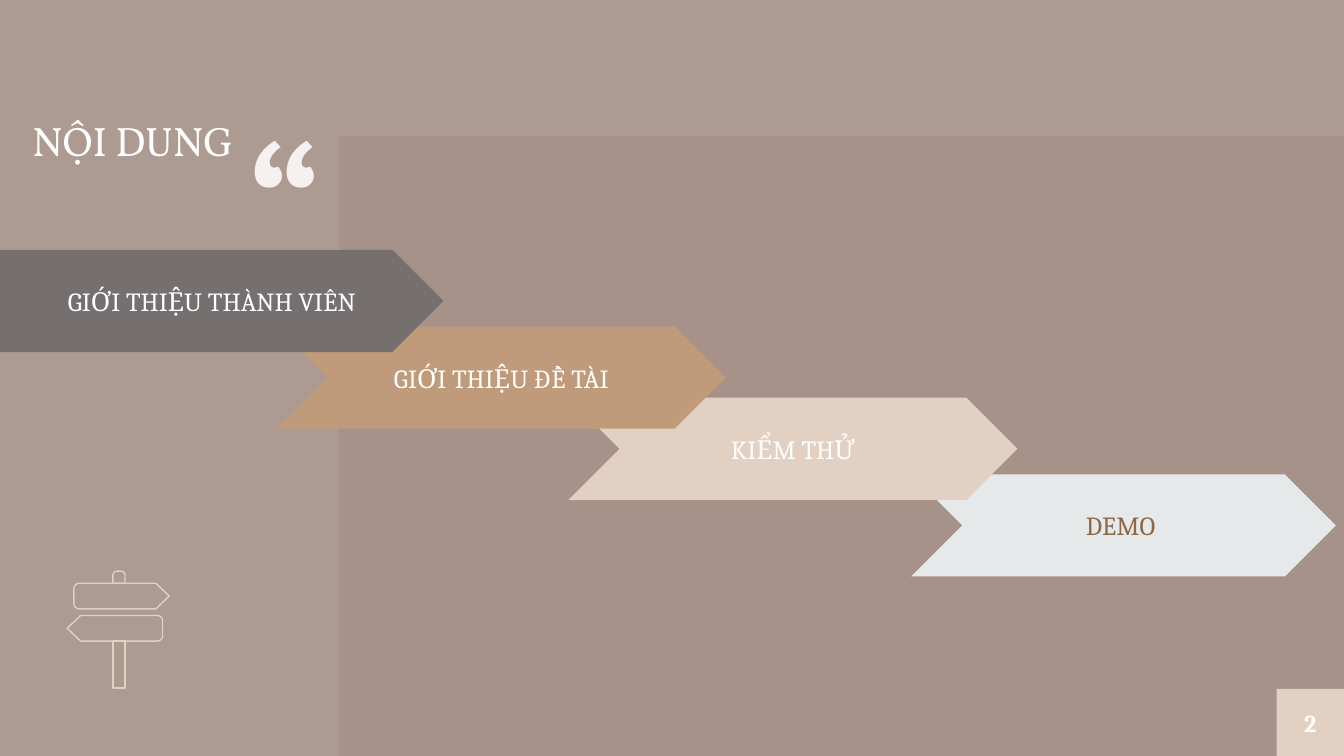
from math import cos, radians, sin

from lxml import etree
from pptx import Presentation
from pptx.dml.color import RGBColor
from pptx.enum import shapes as s, text as t
from pptx.oxml.ns import qn
from pptx.util import Inches, Pt

WHITE = RGBColor(0xFF, 0xFF, 0xFF)
TAUPE = RGBColor(0xAD, 0x9B, 0x91)
MAROON = RGBColor(0x3B, 0x11, 0x06)
PALE = RGBColor(0xF5, 0xF1, 0xF0)
SAND = RGBColor(0xE2, 0xD1, 0xC2)
MIST = RGBColor(0xE5, 0xE9, 0xEA)
TAN = RGBColor(0xC0, 0x9B, 0x7B)
GREY = RGBColor(0x75, 0x6F, 0x6F)
BROWN = RGBColor(0x8E, 0x67, 0x44)

WIDE = 10
HIGH = WIDE * 9 / 16
STEP_H = 0.76
STEPS = [  # back to front: label, left, top, width, fill, text colour
    ("DEMO ", 6.78, 3.53, 3.16, MIST, BROWN),
    ("KIỂM THỬ", 4.23, 2.96, 3.34, SAND, WHITE),
    ("GIỚI THIỆU ĐỀ TÀI", 2.06, 2.43, 3.34, TAN, WHITE),
    (" GIỚI THIỆU THÀNH VIÊN", 0, 1.86, 3.3, GREY, WHITE),
]


def write(shape, words, size, color, align=t.PP_ALIGN.CENTER,
          anchor=t.MSO_ANCHOR.MIDDLE, inset=0, name="Cambria", bold=False):
    frame = shape.text_frame
    pad = Inches(inset)
    look = dict(word_wrap=True, vertical_anchor=anchor, margin_left=pad,
                margin_right=pad, margin_top=pad, margin_bottom=pad)
    for key, value in look.items():
        setattr(frame, key, value)
    para = frame.paragraphs[0]
    para.alignment = align
    run = para.add_run()
    run.text = words
    for key, value in dict(size=Pt(size), name=name, bold=bold).items():
        setattr(run.font, key, value)
    run.font.color.rgb = color
    return para


def block(slide, kind, box, fill):
    shape = slide.shapes.add_shape(kind, *map(Inches, box))
    shape.shadow.inherit = False
    shape.fill.solid()
    shape.fill.fore_color.rgb = fill
    shape.line.fill.background()
    return shape


def backdrop(slide, x, y):
    """Colour the slide and tint it from (x, y) to the far corner."""
    slide.background.fill.solid()
    slide.background.fill.fore_color.rgb = TAUPE
    box = (x, y, WIDE - x, HIGH - y)
    panel = block(slide, s.MSO_SHAPE.RECTANGLE, box, MAROON)
    tint = panel.fill._xPr.find(qn("a:solidFill"))[0]
    etree.SubElement(tint, qn("a:alpha"), val="6000")


def heading(slide, x, y):
    mark = slide.shapes.add_textbox(*map(Inches, (x, y, 2.14, 0.71)))
    write(mark, "“", 96, PALE, t.PP_ALIGN.RIGHT, t.MSO_ANCHOR.TOP, bold=True)
    title = slide.shapes.add_textbox(
        *map(Inches, (x + 0.01, y + 0.24, 2.06, 4.23)))
    para = write(title, "NỘI DUNG", 22, WHITE, t.PP_ALIGN.LEFT,
                 t.MSO_ANCHOR.TOP, name="Vollkorn")
    para.line_spacing = 0.9


def arc(x, y, r, start):
    """Points of a quarter turn about (x, y), clockwise on the slide."""
    turns = [radians(start + 15 * i) for i in range(7)]
    return [(x + r * cos(a), y + r * sin(a)) for a in turns]


def outline(group, points):
    spots = [(Inches(x), Inches(y)) for x, y in points]
    pen = group.shapes.build_freeform(*spots[0])
    pen.add_line_segments(spots[1:], close=True)
    shape = pen.convert_to_shape()
    shape.shadow.inherit = False
    shape.fill.background()
    shape.line.color.rgb = SAND
    shape.line.width = Pt(0.75)


def board(x, y, w=0.71, h=0.19, r=0.04, tip=0.1):
    """Points of a board with a round left end and a right tip."""
    return (arc(x + r, y + h - r, r, 90) + arc(x + r, y + r, r, 180)
            + [(x + w - tip, y), (x + w, y + h / 2), (x + w - tip, y + h)])


def signpost(slide, x, y):
    group = slide.shapes.add_group_shape()
    outline(group, board(x + 0.05, y + 0.09))
    # the lower board is the same one turned to face left
    outline(group, [(2 * x + 0.71 - px, py)
                    for px, py in board(x, y + 0.33)])
    left, right, r = x + 0.34, x + 0.43, 0.03
    outline(group, [(left, y + 0.09)] + arc(left + r, y + r, r, 180)
            + arc(right - r, y + r, r, 270) + [(right, y + 0.09)])
    outline(group, [(left, y + 0.52), (left, y + 0.87),
                    (right, y + 0.87), (right, y + 0.52)])


def steps(slide):
    for label, x, y, w, fill, ink in STEPS:
        kind = s.MSO_SHAPE.CHEVRON if x else s.MSO_SHAPE.PENTAGON
        arrow = block(slide, kind, (x, y, w, STEP_H), fill)
        arrow.adjustments[0] = 0.5
        write(arrow, label, 14, ink, inset=0.1)


def badge(slide, side):
    """Number the slide in a square at its bottom right corner."""
    box = (WIDE - side, HIGH - side, side, side)
    shape = block(slide, s.MSO_SHAPE.RECTANGLE, box, SAND)
    write(shape, "2", 13, WHITE, bold=True)


def main():
    deck = Presentation()
    deck.slide_width, deck.slide_height = Inches(WIDE), Inches(HIGH)
    slide = deck.slides.add_slide(deck.slide_layouts[6])
    backdrop(slide, 2.52, 1.01)
    signpost(slide, 0.5, 4.25)
    badge(slide, 0.5)
    heading(slide, 0.23, 0.66)
    steps(slide)
    deck.save("out.pptx")


if __name__ == "__main__":
    main()
